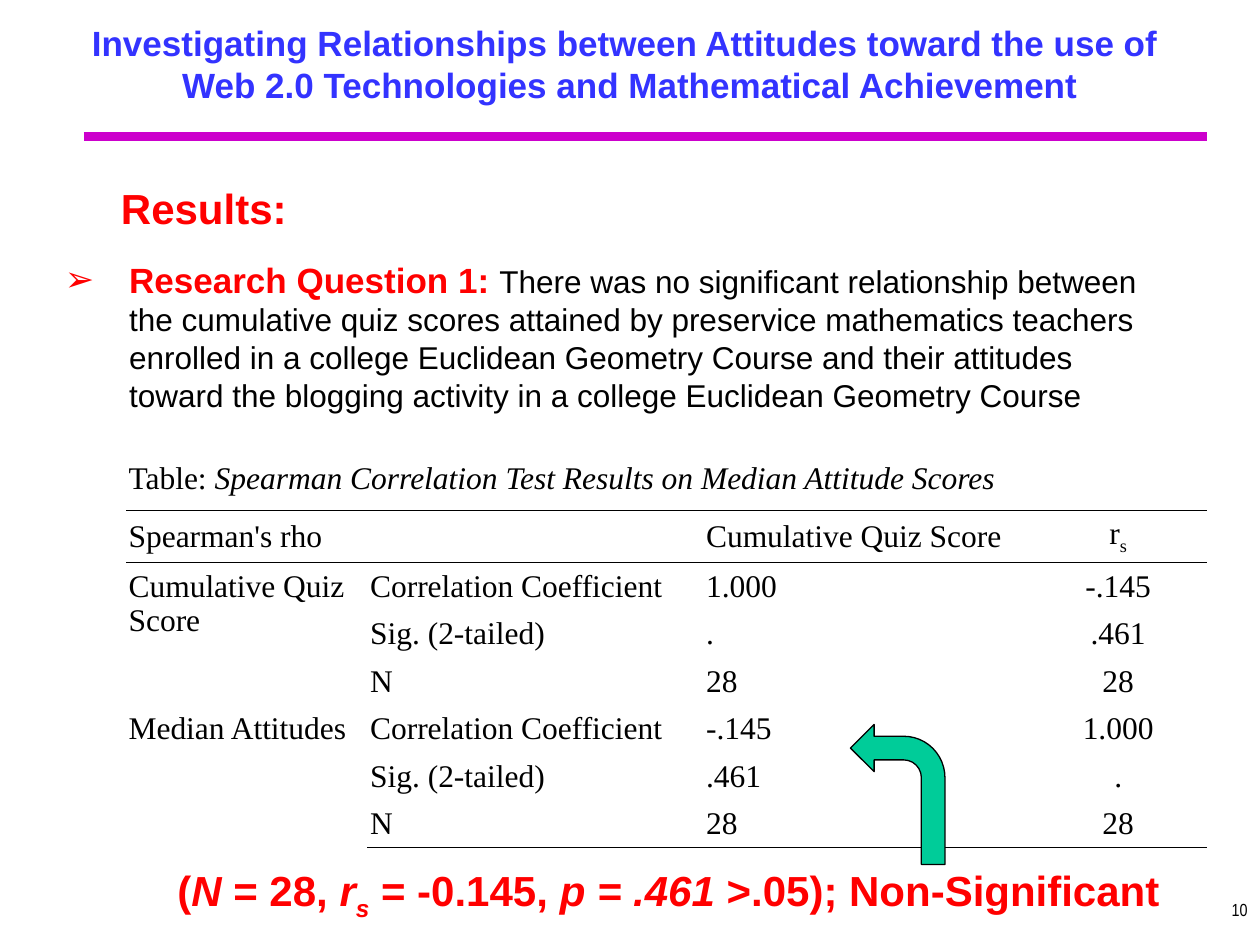
from dataclasses import dataclass, replace

from lxml.etree import SubElement
from pptx import Presentation
from pptx.dml.color import RGBColor
from pptx.enum.shapes import MSO_CONNECTOR, MSO_SHAPE
from pptx.enum.text import MSO_ANCHOR, MSO_AUTO_SIZE, PP_ALIGN
from pptx.oxml.ns import qn
from pptx.util import Pt


@dataclass(frozen=True)
class TextStyle:
    font: str
    size: float
    color: str
    bold: bool = False
    italic: bool = False
    subscript: bool = False


@dataclass(frozen=True)
class Theme:
    title: TextStyle = TextStyle("Arial", 20, "3333FF", bold=True)
    heading: TextStyle = TextStyle("Arial", 24, "FF0000", bold=True)
    lead: TextStyle = TextStyle("Arial", 20, "FF0000", bold=True)
    body: TextStyle = TextStyle("Arial", 18, "000000")
    table: TextStyle = TextStyle("Times New Roman", 18, "000000")
    number: TextStyle = TextStyle("Arial Narrow", 10, "000000")
    bullet: str = "FF0000"
    rule: str = "CC00CC"
    arrow: str = "00CC99"
    outline: str = "000000"
    paper: str = "FFFFFF"


class SlideBuilder:
    def __init__(self, slide, theme):
        self.slide = slide
        self.theme = theme

    def add_runs(self, paragraph, runs, align=PP_ALIGN.LEFT):
        paragraph.alignment = align
        for text, style in runs:
            run = paragraph.add_run()
            run.text = text
            run.font.name = style.font
            run.font.size = Pt(style.size)
            run.font.bold = style.bold
            run.font.italic = style.italic
            run.font.color.rgb = RGBColor.from_string(style.color)
            if style.subscript:
                run.font._element.set("baseline", "-25000")

    def title(self, box, lines):
        shape = self.slide.shapes.title
        shape.left, shape.top, shape.width, shape.height = map(Pt, box)
        frame = shape.text_frame
        frame.auto_size = MSO_AUTO_SIZE.NONE
        frame.vertical_anchor = MSO_ANCHOR.MIDDLE
        for index, line in enumerate(lines):
            paragraph = frame.add_paragraph() if index else frame.paragraphs[0]
            self.add_runs(paragraph, [(line, self.theme.title)], PP_ALIGN.CENTER)

    def text(self, box, runs, align=PP_ALIGN.LEFT, top_inset=3.6, indent=0):
        frame = self.slide.shapes.add_textbox(*map(Pt, box)).text_frame
        frame.word_wrap = True
        frame.margin_top = Pt(top_inset)
        paragraph = frame.paragraphs[0]
        if indent:
            paragraph._p.get_or_add_pPr().set("marL", str(Pt(indent)))
        self.add_runs(paragraph, runs, align)
        return paragraph

    def bullet_text(self, box, runs, hang):
        paragraph = self.text(box, runs, indent=hang)
        properties = paragraph._p.get_or_add_pPr()
        properties.set("indent", str(-Pt(hang)))
        color = SubElement(properties, qn("a:buClr"))
        SubElement(color, qn("a:srgbClr")).set("val", self.theme.bullet)
        SubElement(properties, qn("a:buFont")).set("typeface", self.theme.body.font)
        SubElement(properties, qn("a:buChar")).set("char", "➢")

    def rule(self, left, right, y, weight):
        line = self.slide.shapes.add_connector(
            MSO_CONNECTOR.STRAIGHT, Pt(left), Pt(y), Pt(right), Pt(y))
        line.line.width = Pt(weight)
        line.line.color.rgb = RGBColor.from_string(self.theme.rule)
        SubElement(line._element.spPr, qn("a:effectLst"))

    def bent_arrow_left(self, box):
        shape = self.slide.shapes.add_shape(MSO_SHAPE.BENT_ARROW, *map(Pt, box))
        shape._element.spPr.xfrm.set("flipH", "1")
        shape.shadow.inherit = False
        shape.fill.solid()
        shape.fill.fore_color.rgb = RGBColor.from_string(self.theme.arrow)
        shape.line.width = Pt(0.75)
        shape.line.color.rgb = RGBColor.from_string(self.theme.outline)

    def borders(self, cell, ruled):
        properties = cell._tc.get_or_add_tcPr()
        for side in ("lnL", "lnR", "lnT", "lnB"):
            line = SubElement(properties, qn(f"a:{side}"))
            if side in ruled:
                line.set("w", str(Pt(0.45)))
                fill = SubElement(line, qn("a:solidFill"))
                SubElement(fill, qn("a:srgbClr")).set("val", self.theme.outline)
            else:
                SubElement(line, qn("a:noFill"))

    def table(self, left, top, widths, heights, rows, merges, ruled_rows):
        table = self.slide.shapes.add_table(
            len(rows), len(widths), Pt(left), Pt(top),
            Pt(sum(widths)), Pt(sum(heights))).table
        table.first_row = table.horz_banding = False
        for column, width in zip(table.columns, widths):
            column.width = Pt(width)
        for row, height in zip(table.rows, heights):
            row.height = Pt(height)
        for first, last in merges:
            table.cell(*first).merge(table.cell(*last))

        for i, row in enumerate(rows):
            ruled = {side for side, above in (("lnT", i - 1), ("lnB", i))
                     if above in ruled_rows}
            for j, runs in enumerate(row):
                cell = table.cell(i, j)
                self.borders(cell, ruled)
                cell.fill.solid()
                cell.fill.fore_color.rgb = RGBColor.from_string(self.theme.paper)
                cell.margin_left = cell.margin_right = Pt(1.5)
                # Labels sit at the top; the header and values are centred
                if i == 1 or j >= 2:
                    cell.vertical_anchor = MSO_ANCHOR.MIDDLE
                if isinstance(runs, str):
                    runs = [(runs, self.theme.table)] if runs else []
                align = PP_ALIGN.CENTER if j == 3 else PP_ALIGN.LEFT
                self.add_runs(cell.text_frame.paragraphs[0], runs, align)


def main():
    presentation = Presentation()
    presentation.slide_width, presentation.slide_height = Pt(720), Pt(540)
    theme = Theme()
    slide = presentation.slides.add_slide(presentation.slide_layouts[5])
    builder = SlideBuilder(slide, theme)

    # Title and rule
    builder.title((6, 6, 708, 60), [
        "Investigating Relationships between Attitudes toward the use of ",
        "Web 2.0 Technologies and Mathematical Achievement"])
    builder.rule(48, 690, 78, 5)

    # Correlation table
    plain = theme.table
    caption = [("Table: ", plain),
               ("Spearman Correlation Test Results on Median Attitude Scores",
                replace(plain, italic=True))]
    coefficient = [("r", plain), ("s", replace(plain, subscript=True))]
    measures = ("Correlation Coefficient", "Sig. (2-tailed)", "N")
    own, cross = ("1.000", ".", "28"), ("-.145", ".461", "28")
    rows = [[caption, "", "", ""],
            ["Spearman's rho", "", "Cumulative Quiz Score", coefficient]]
    for variable, quiz, attitude in (("Cumulative Quiz Score", own, cross),
                                     ("Median Attitudes", cross, own)):
        labels = (variable, "", "")
        rows += zip(labels, measures, quiz, attitude)
    builder.table(
        72, 260, (138, 192, 186, 102), [31.5, 27] + [24.5] * 6, rows,
        merges=[((0, 0), (0, 3)), ((2, 0), (4, 0)), ((5, 0), (7, 0))],
        ruled_rows=(0, 1, 7))

    # Finding
    builder.text((60, 104, 132, 34.5), [("Results:", theme.heading)],
                 top_inset=0, indent=2)
    builder.bullet_text((30, 144, 642, 96.5), [
        ("Research Question 1: ", theme.lead),
        ("There was no significant relationship between the cumulative quiz "
         "scores attained by preservice mathematics teachers enrolled in a "
         "college Euclidean Geometry Course and their attitudes toward the "
         "blogging activity in a college Euclidean Geometry Course",
         theme.body)], hang=36.75)

    # Test statistic and the arrow to its table cell
    strong = theme.heading
    slanted = replace(strong, italic=True)
    builder.text((72, 494, 618, 34.5), [
        ("(", strong), ("N", slanted), (" = 28, ", strong), ("r", slanted),
        ("s", replace(slanted, subscript=True)), (" = -0.145, ", strong),
        ("p = .461 ", slanted), (">.05); Non-Significant", strong)],
        PP_ALIGN.CENTER, top_inset=0, indent=2)
    builder.bent_arrow_left((486, 414, 54, 80))

    # Slide number
    builder.text((570, 510, 150, 30), [("10", theme.number)], PP_ALIGN.RIGHT)

    presentation.save("out.pptx")


if __name__ == "__main__":
    main()
